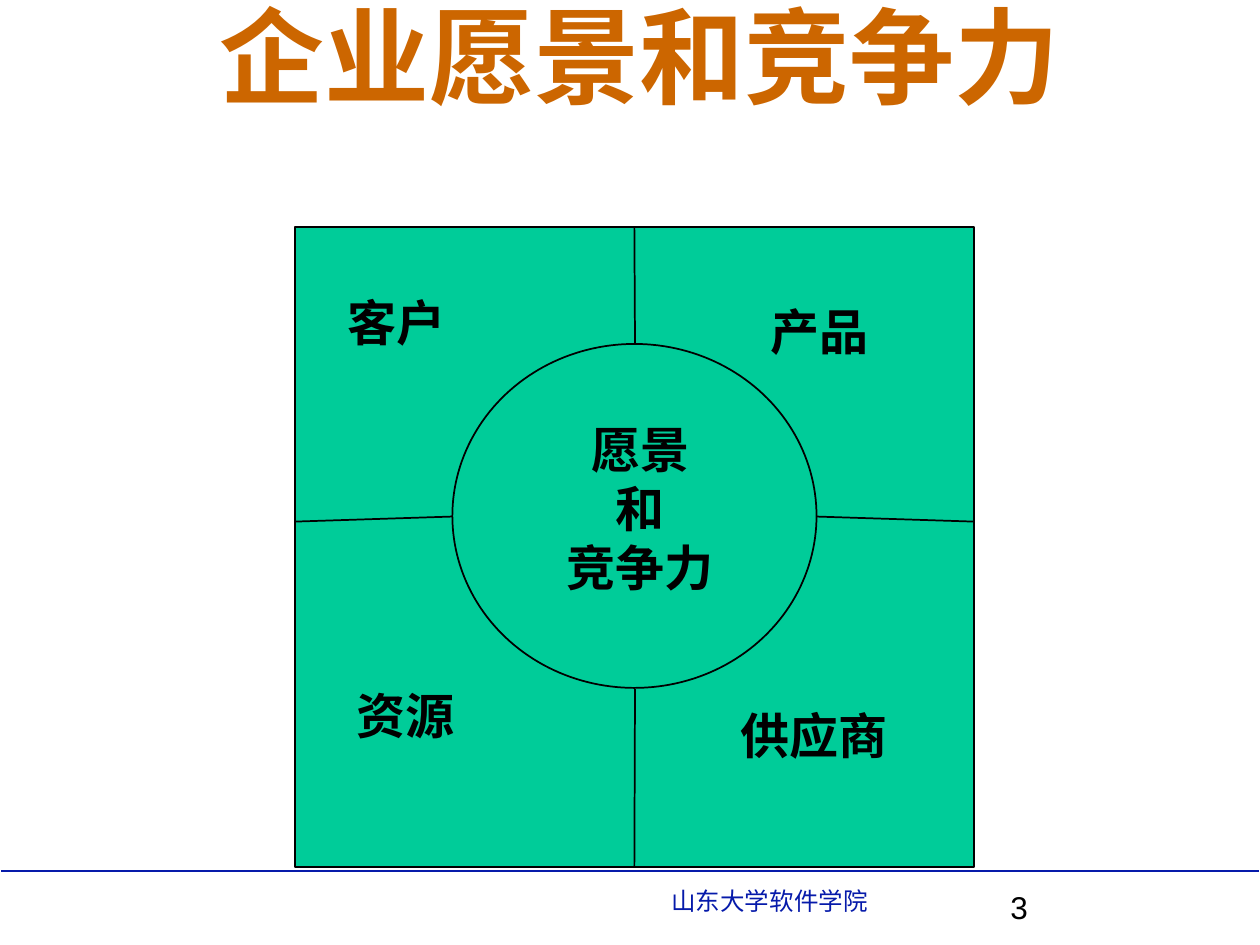
from dataclasses import dataclass

from lxml import etree
from pptx import Presentation
from pptx.dml.color import RGBColor
from pptx.enum import shapes, text
from pptx.oxml import ns
from pptx.util import Inches, Pt


@dataclass(frozen=True)
class Theme:
    """Colours, fonts and sizes of the slide."""
    black: RGBColor = RGBColor(0, 0, 0)
    green: RGBColor = RGBColor(0x00, 0xCC, 0x99)
    orange: RGBColor = RGBColor(0xCC, 0x66, 0x00)
    blue: RGBColor = RGBColor(0x06, 0x1A, 0xAA)
    sans: str = "Arial"
    serif: str = "Times New Roman"
    title_size: Pt = Pt(60)
    label_size: Pt = Pt(28)
    number_size: Pt = Pt(18)
    footer_size: Pt = Pt(14)
    line_width: Pt = Pt(1)


THEME = Theme()
TITLE = dict(name=THEME.serif, size=THEME.title_size, bold=True)
LABEL = dict(name=THEME.sans, size=THEME.label_size, bold=True)
NUMBER = dict(name=THEME.sans, size=THEME.number_size)
FOOTER = dict(name=THEME.sans, size=THEME.footer_size)


def add_text(slide, box, lines, formats, color=THEME.black,
             align=text.PP_ALIGN.LEFT, anchor=text.MSO_ANCHOR.TOP):
    """Add a text box with one paragraph per line."""
    frame = slide.shapes.add_textbox(*map(Inches, box)).text_frame
    frame.word_wrap = True
    frame.vertical_anchor = anchor
    frame.text = "\n".join(lines)
    for paragraph in frame.paragraphs:
        paragraph.alignment = align
        for key, value in formats.items():
            setattr(paragraph.font, key, value)
        paragraph.font.color.rgb = color


def add_area(slide, kind, box):
    """Add a green outlined area."""
    area = slide.shapes.add_shape(kind, *map(Inches, box))
    area.shadow.inherit = False
    area.fill.solid()
    area.fill.fore_color.rgb = THEME.green
    area.line.color.rgb = THEME.black
    area.line.width = THEME.line_width
    return area


def add_line(slide, start, end, color=THEME.black):
    """Add a straight line without a shadow."""
    line = slide.shapes.add_connector(
        shapes.MSO_CONNECTOR.STRAIGHT, *map(Inches, (*start, *end)))
    line.line.color.rgb = color
    line.line.width = THEME.line_width
    etree.SubElement(line._element.spPr, ns.qn("a:effectLst"))
    return line


def add_vision_map(slide):
    """Draw the square, its centre circle, the dividers and the labels."""
    square = add_area(slide, shapes.MSO_SHAPE.RECTANGLE, (2.34, 1.8, 5.39, 5.08))
    add_area(slide, shapes.MSO_SHAPE.OVAL, (3.59, 2.73, 2.89, 2.73))

    add_line(slide, (5.04, 1.8), (5.04, 2.73)).begin_connect(square, 0)
    add_line(slide, (6.48, 4.1), (7.73, 4.14))
    add_line(slide, (5.04, 5.47), (5.04, 6.88)).end_connect(square, 2)
    add_line(slide, (2.34, 4.14), (3.59, 4.1))

    quadrants = {
        "客户": (2.66, 2.27, 1.02, 0.57),
        "产品": (6.02, 2.34, 1.33, 0.57),
        "资源": (2.73, 5.39, 1.33, 0.57),
        "供应商": (5.78, 5.55, 1.41, 0.57),
    }
    for label, box in quadrants.items():
        add_text(slide, box, [label], LABEL)
    add_text(slide, (4.3, 3.28, 1.56, 1.5), ["愿景", "和", "竞争力"], LABEL,
             align=text.PP_ALIGN.CENTER)


def main():
    """Build and save the slide."""
    deck = Presentation()
    deck.slide_width, deck.slide_height = Inches(10), Inches(7.5)
    slide = deck.slides.add_slide(deck.slide_layouts[6])

    add_line(slide, (0.01, 6.91), (9.99, 6.91), THEME.blue)
    add_text(slide, (5.23, 6.98, 4.33, 0.34), ["山东大学软件学院"], FOOTER, THEME.blue)
    add_text(slide, (0.4, 0.13, 9.35, 0.6), ["企业愿景和竞争力"], TITLE, THEME.orange,
             text.PP_ALIGN.CENTER, text.MSO_ANCHOR.MIDDLE)
    add_text(slide, (7.92, 7, 2.08, 0.5), ["3"], NUMBER)
    add_vision_map(slide)
    deck.save("out.pptx")


if __name__ == "__main__":
    main()
